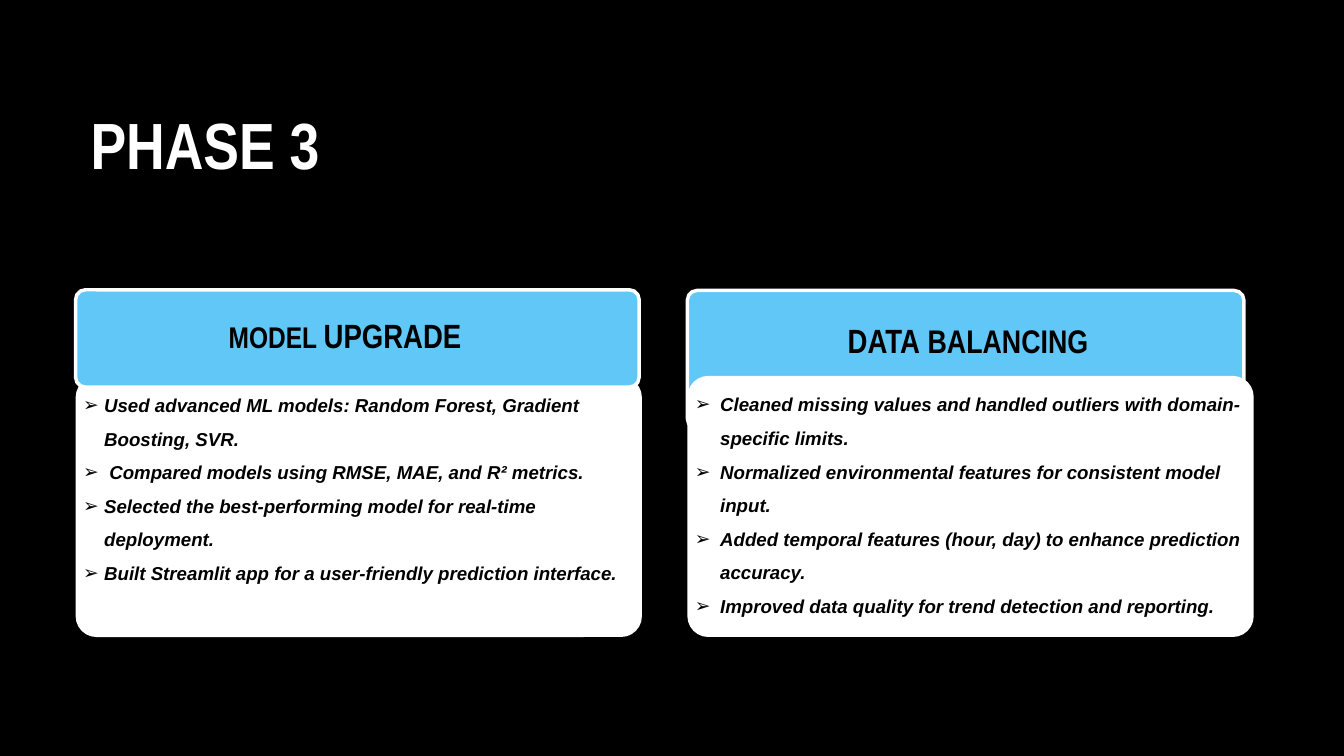
from pptx import Presentation
from pptx import util as u
from pptx.dml.color import RGBColor
from pptx.enum import shapes, text
from pptx.oxml.ns import qn
from lxml import etree

PX = 9525
BLACK = RGBColor(0x00, 0x00, 0x00)
WHITE = RGBColor(0xFF, 0xFF, 0xFF)
SKY = RGBColor(0x60, 0xC7, 0xF6)
ROUND = shapes.MSO_SHAPE.ROUNDED_RECTANGLE
MODEL = [
    "Used advanced ML models: Random Forest, Gradient Boosting, SVR.",
    " Compared models using RMSE, MAE, and R² metrics.",
    "Selected the best-performing model for real-time deployment.",
    "Built Streamlit app for a user-friendly prediction interface.",
]
DATA = [
    "Cleaned missing values and handled outliers with domain-specific limits.",
    "Normalized environmental features for consistent model input.",
    "Added temporal features (hour, day) to enhance prediction accuracy.",
    "Improved data quality for trend detection and reporting.",
]


def emu(box):
    return [u.Emu(v * PX) for v in box]


def margins(frame, left, top, right, bottom):
    (frame.margin_left, frame.margin_top,
     frame.margin_right, frame.margin_bottom) = emu((left, top, right, bottom))


def style(run, size, face, color):
    font = run.font
    font.size, font.name, font.bold = u.Pt(size), face, True
    font.color.rgb = color


def label(slide, box, runs, color, align, lead):
    """One line of bold narrow text; runs holds (words, size) pairs."""
    frame = slide.shapes.add_textbox(*emu(box)).text_frame
    frame.word_wrap = True
    margins(frame, 0, 0, 0, 0)
    para = frame.paragraphs[0]
    para.alignment, para.line_spacing = align, u.Pt(lead)
    for words, size in runs:
        run = para.add_run()
        run.text = words
        style(run, size, "Arial Narrow", color)


def plate(slide, box, radius, fill):
    shape = slide.shapes.add_shape(ROUND, *emu(box))
    shape.shadow.inherit = False
    shape.adjustments[0] = round(radius / min(box[2:]), 2)
    shape.fill.solid()
    shape.fill.fore_color.rgb = fill
    shape.line.fill.background()
    return shape


def header(slide, box, mid, runs):
    """Blue plate whose heading is centred on the point mid."""
    line = plate(slide, box, 14, SKY).line
    line.color.rgb, line.width = WHITE, u.Pt(3.75)
    wide, high = 568, 56
    spot = (mid[0] - wide // 2, mid[1] - high // 2, wide, high)
    label(slide, spot, runs, BLACK, text.PP_ALIGN.CENTER, 42)


def panel(slide, box, items, indent):
    """White plate with an arrow-bulleted list."""
    frame = plate(slide, box, 28, WHITE).text_frame
    frame.word_wrap = True
    frame.vertical_anchor = text.MSO_ANCHOR.TOP
    margins(frame, 2, 0, 2, 0)
    frame.text = "\n".join(items)
    for para in frame.paragraphs:
        para.alignment, para.line_spacing = text.PP_ALIGN.LEFT, 1.5
        props = para._p.get_or_add_pPr()
        props.set("marL", str(indent * PX))
        props.set("indent", str(-indent * PX))
        etree.SubElement(props, qn("a:buFont"), typeface="Wingdings 2")
        props[-1].set("typeface", "Arial")
        etree.SubElement(props, qn("a:buChar"), char="➢")
        for run in para.runs:
            style(run, 20, "Arial", BLACK)
            run.font.italic = True


def main():
    deck = Presentation()
    deck.slide_width, deck.slide_height = emu((1920, 1080))
    slide = deck.slides.add_slide(deck.slide_layouts[6])
    back = slide.background.fill
    back.solid()
    back.fore_color.rgb = BLACK

    label(slide, (108, 168, 1172, 94), [(" PHASE 3", 70)],
          WHITE, text.PP_ALIGN.LEFT, 70)
    panel(slide, (108, 538, 809, 372), MODEL, 30)
    header(slide, (108, 414, 805, 139), (493, 480),
           [("MODEL ", 32), ("UPGRADE", 36)])
    header(slide, (982, 415, 795, 197), (1383, 487),
           [("DATA", 36), (" BALANCING", 35)])
    panel(slide, (982, 537, 809, 373), DATA, 36)
    deck.save("out.pptx")


if __name__ == "__main__":
    main()
